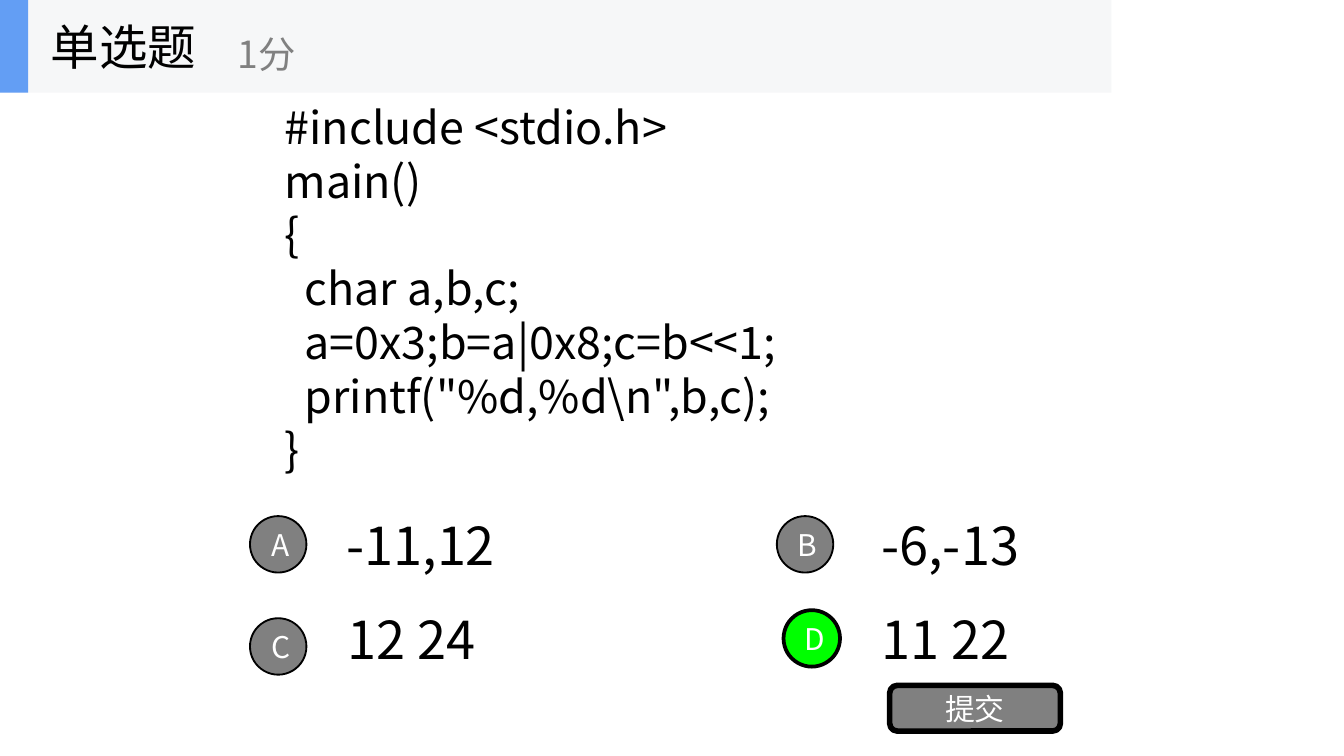
from lxml import etree
from pptx import Presentation
from pptx.dml.color import RGBColor
from pptx.enum import shapes, text
from pptx.oxml import ns
from pptx.util import Inches, Pt

FONT = "Noto Sans CJK SC"
COLORS = {
    "ink": "000000",
    "gray": "808080",
    "white": "FFFFFF",
    "correct": "00FF00",
    "band": "F6F7F8",
    "accent": "639EF4",
}
CODE = [
    "#include <stdio.h>",
    "main()",
    "{",
    "  char a,b,c;",
    "  a=0x3;b=a|0x8;c=b<<1;",
    '  printf("%d,%d\\n",b,c);',
    "}",
]
# letter, answer, badge position, answer position, is correct
OPTIONS = [
    ("A", "-11,12", (1.86, 3.84), (2.48, 3.79), False),
    ("B", "-6,-13", (5.78, 3.84), (6.46, 3.79), False),
    ("C", "12 24", (1.86, 4.6), (2.49, 4.49), False),
    ("D", "11 22", (5.83, 4.54), (6.46, 4.49), True),
]


def color(name):
    return RGBColor.from_string(COLORS[name])


def write(shape, lines, size, ink="ink", align=text.PP_ALIGN.LEFT):
    """Fill a shape with one paragraph per line, centred vertically."""
    frame = shape.text_frame
    frame.word_wrap = True
    frame.vertical_anchor = text.MSO_ANCHOR.MIDDLE
    for index, line in enumerate(lines):
        paragraph = frame.paragraphs[0] if index == 0 else frame.add_paragraph()
        paragraph.alignment = align
        run = paragraph.add_run()
        run.text = line
        run.font.size = Pt(size)
        run.font.name = FONT
        run.font.color.rgb = color(ink)
        east_asian = etree.SubElement(run.font._element, ns.qn("a:ea"))
        east_asian.set("typeface", FONT)


def add_text(slide, box, lines, size, **style):
    shape = slide.shapes.add_textbox(*map(Inches, box))
    write(shape, lines, size, **style)


def add_block(slide, kind, box, fill, line_width=0):
    shape = slide.shapes.add_shape(kind, *map(Inches, box))
    shape.shadow.inherit = False
    shape.fill.solid()
    shape.fill.fore_color.rgb = color(fill)
    if line_width:
        shape.line.color.rgb = color("ink")
        shape.line.width = Pt(line_width)
    else:
        shape.line.fill.background()
    return shape


def add_button(slide, kind, box, label, fill, line_width, indent=0):
    """Add an outlined shape with a white centred label."""
    shape = add_block(slide, kind, box, fill, line_width)
    frame = shape.text_frame
    frame.margin_left = Inches(indent)
    frame.margin_right = frame.margin_top = frame.margin_bottom = 0
    write(shape, [label], 16, ink="white", align=text.PP_ALIGN.CENTER)


def add_header(slide, left, top, width, height):
    rectangle = shapes.MSO_SHAPE.RECTANGLE
    add_block(slide, rectangle, (left, top, width, height), "band")
    add_block(slide, rectangle, (left, top, 0.21, height), "accent")
    add_text(slide, (left + 0.28, top, 2.08, height), ["单选题"], 26)
    add_text(slide, (left + 1.67, top + 0.12, 2.5, 0.56), ["1分"], 20, ink="gray")


def add_option(slide, letter, answer, badge, place, correct):
    add_text(slide, (*place, 3.03, 0.53), [answer], 28)
    fill, line_width = ("correct", 2) if correct else ("gray", 1)
    add_button(slide, shapes.MSO_SHAPE.OVAL, (*badge, 0.42, 0.42),
               letter, fill, line_width, indent=0.04)


def main():
    presentation = Presentation()
    presentation.slide_width = Inches(10)
    presentation.slide_height = Inches(10) * 9 // 16
    slide = presentation.slides.add_slide(presentation.slide_layouts[6])

    add_text(slide, (2.02, 0.6, 6.77, 3.08), CODE, 24)
    for option in OPTIONS:
        add_option(slide, *option)
    add_button(slide, shapes.MSO_SHAPE.ROUNDED_RECTANGLE,
               (6.62, 5.1, 1.27, 0.34), "提交", "gray", 3)
    add_header(slide, 0, 0, 8.27, 0.69)
    presentation.save("out.pptx")


if __name__ == "__main__":
    main()
